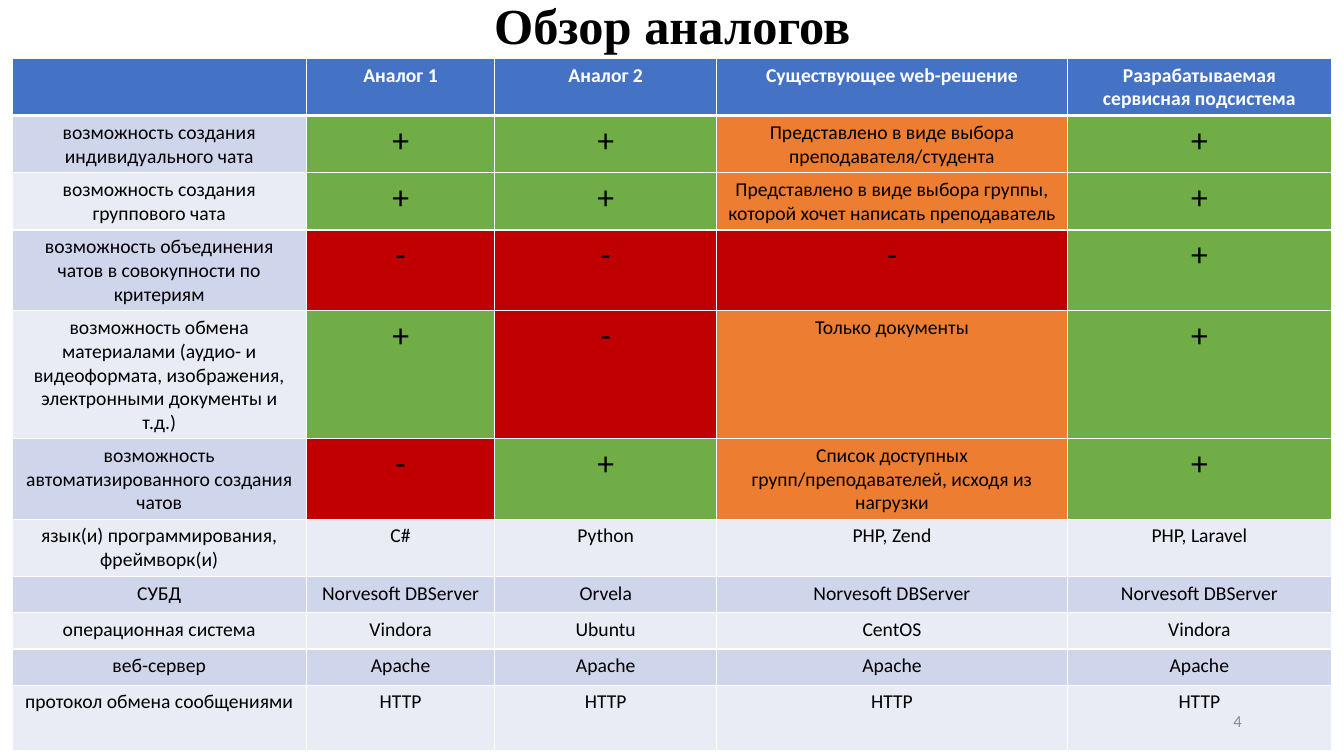
from dataclasses import dataclass

from lxml.etree import SubElement
from pptx import Presentation
from pptx.dml.color import RGBColor
from pptx.enum.text import MSO_ANCHOR, PP_ALIGN
from pptx.oxml.ns import qn
from pptx.util import Pt


@dataclass(frozen=True)
class Theme:
    title_font: str = "Times New Roman"
    body_font: str = "Calibri"
    title_size: float = 36
    body_size: float = 14
    mark_size: float = 24
    number_size: float = 12
    text: str = "000000"
    light: str = "FFFFFF"
    muted: str = "8C8C8C"
    header: str = "4472C4"
    bands: tuple = ("CFD5EA", "E9EBF5")
    present: str = "70AD47"
    partial: str = "ED7D31"
    absent: str = "C00000"
    border: float = 1
    header_border: float = 3


THEME = Theme()

COLUMN_WIDTHS = (210.24, 134.64, 158.4, 250.56, 188.64)
ROW_HEIGHTS = (38.2, 38.2, 38.2, 54, 69.84, 54, 38.2, 25.92, 25.92, 25.92, 46.8)
HEADINGS = ("", "Аналог 1", "Аналог 2", "Существующее web-решение",
            "Разрабатываемая сервисная подсистема")
# Features are rated by colour
FEATURES = (
    ("возможность создания индивидуального чата", "+", "+",
     "Представлено в виде выбора преподавателя/студента", "+"),
    ("возможность создания группового чата", "+", "+",
     "Представлено в виде выбора группы, которой хочет написать преподаватель", "+"),
    ("возможность объединения чатов в совокупности по критериям", "-", "-", "-", "+"),
    ("возможность обмена материалами (аудио- и видеоформата, изображения, "
     "электронными документы и т.д.)", "+", "-", "Только документы", "+"),
    ("возможность автоматизированного создания чатов", "-", "+",
     "Список доступных групп/преподавателей, исходя из нагрузки", "+"),
)
# Technologies are only listed
TECHNOLOGIES = (
    ("язык(и) программирования, фреймворк(и)", "C#", "Python", "PHP, Zend", "PHP, Laravel"),
    ("СУБД", "Norvesoft DBServer", "Orvela", "Norvesoft DBServer", "Norvesoft DBServer"),
    ("операционная система", "Vindora", "Ubuntu", "CentOS", "Vindora"),
    ("веб-сервер",) + ("Apache",) * 4,
    ("протокол обмена сообщениями",) + ("HTTP",) * 4,
)


def write(frame, text, size, color, font=THEME.body_font, bold=False, align=PP_ALIGN.CENTER):
    frame.text = text
    paragraph = frame.paragraphs[0]
    paragraph.alignment = align
    for styled in (paragraph, *paragraph.runs):
        styled.font.size = Pt(size)
        styled.font.name = font
        styled.font.bold = bold
        styled.font.color.rgb = RGBColor.from_string(color)
    return paragraph


def add_label(slide, box, text, size, color, **style):
    frame = slide.shapes.add_textbox(*map(Pt, box)).text_frame
    frame.word_wrap = True
    frame.vertical_anchor = MSO_ANCHOR.MIDDLE
    return write(frame, text, size, color, **style)


def add_title(slide, box):
    title = add_label(slide, box, "Обзор аналогов", THEME.title_size, THEME.text,
                      font=THEME.title_font, bold=True)
    title.line_spacing = 0.9


def add_page_number(slide, box):
    add_label(slide, box, "4", THEME.number_size, THEME.muted, align=PP_ALIGN.RIGHT)


def set_borders(cell, top, bottom):
    properties = cell._tc.get_or_add_tcPr()
    widths = {"lnL": THEME.border, "lnR": THEME.border, "lnT": top, "lnB": bottom}
    for side, width in widths.items():
        line = SubElement(properties, qn(f"a:{side}"), w=str(Pt(width)))
        fill = SubElement(line, qn("a:solidFill"))
        SubElement(fill, qn("a:srgbClr"), val=THEME.light)


def cell_fill(row, column, text):
    if row == 0:
        return THEME.header
    if column == 0 or row > len(FEATURES):
        return THEME.bands[(row - 1) % 2]
    return {"+": THEME.present, "-": THEME.absent}.get(text, THEME.partial)


def add_comparison(slide, box):
    contents = (HEADINGS, *FEATURES, *TECHNOLOGIES)
    comparison = slide.shapes.add_table(
        len(contents), len(HEADINGS), *map(Pt, box)).table
    for column, width in zip(comparison.columns, COLUMN_WIDTHS):
        column.width = Pt(width)
    for row, height in zip(comparison.rows, ROW_HEIGHTS):
        row.height = Pt(height)

    for r, entries in enumerate(contents):
        is_header = r == 0
        for c, text in enumerate(entries):
            cell = comparison.cell(r, c)
            # Heavy rule between the header and the first feature
            set_borders(cell,
                        top=THEME.header_border if r == 1 else THEME.border,
                        bottom=THEME.header_border if is_header else THEME.border)
            cell.fill.solid()
            cell.fill.fore_color.rgb = RGBColor.from_string(cell_fill(r, c, text))
            write(cell.text_frame, text,
                  THEME.mark_size if text in ("+", "-") else THEME.body_size,
                  THEME.light if is_header else THEME.text, bold=is_header)


def main():
    presentation = Presentation()
    presentation.slide_width = Pt(960)
    presentation.slide_height = Pt(540)
    slide = presentation.slides.add_slide(presentation.slide_layouts[6])
    add_title(slide, (46, -7.2, 868.4, 55.4))
    add_comparison(slide, (8.64, 41.76, sum(COLUMN_WIDTHS), sum(ROW_HEIGHTS)))
    add_page_number(slide, (678.24, 500.4, 216, 28.8))
    presentation.save("out.pptx")


if __name__ == "__main__":
    main()
